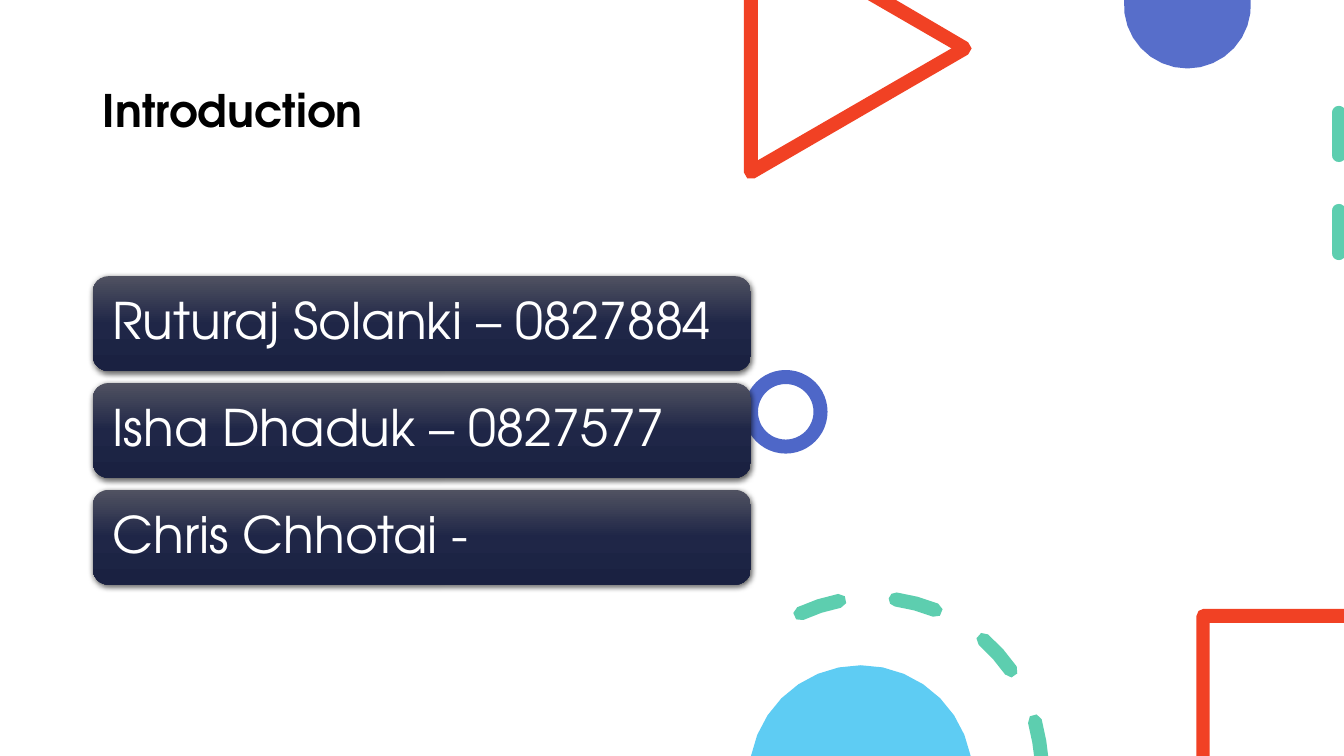
from math import ceil, cos, radians, sin

from lxml import etree
from pptx import Presentation
from pptx.dml.color import RGBColor
from pptx.enum.dml import MSO_LINE
from pptx.enum.shapes import MSO_CONNECTOR, MSO_SHAPE
from pptx.enum.text import MSO_ANCHOR, MSO_AUTO_SIZE, PP_ALIGN
from pptx.oxml import parse_xml
from pptx.oxml.ns import nsdecls, qn
from pptx.util import Inches, Pt

ROUND_RECT, OVAL = MSO_SHAPE.ROUNDED_RECTANGLE, MSO_SHAPE.OVAL
STRAIGHT, DASH = MSO_CONNECTOR.STRAIGHT, MSO_LINE.DASH
MIDDLE, LEFT, NO_FIT = MSO_ANCHOR.MIDDLE, PP_ALIGN.LEFT, MSO_AUTO_SIZE.NONE

WIDTH, HEIGHT = 40 / 3, 7.5
FONT = "TeX Gyre Adventor"
BLUE, GREEN, RED, CYAN = "4E67C8", "5DCEAF", "F14124", "5ECCF3"
BLACK, WHITE = "000000", "FFFFFF"
PANEL_STOPS = [(0, "505261"), (50, "1F2647"), (100, "1A2141")]
MEMBERS = ["Ruturaj Solanki – 0827884", "Isha Dhaduk – 0827577", "Chris Chhotai -"]
STROKE_RADIUS = 0.07


def color(hex_value):
    return RGBColor.from_string(hex_value)


def arc(center, radius, start, end):
    """Points on an arc; angles run clockwise in degrees from straight up."""
    step = 60 if radius == STROKE_RADIUS else 12
    count = ceil(abs(end - start) / step)
    angles = [radians(start + (end - start) * i / count) for i in range(count + 1)]
    return [(center[0] + radius * sin(a), center[1] - radius * cos(a)) for a in angles]


def arc_dash(center, radius, start, end):
    """Outline of one dash of a dashed circle, with round ends."""
    middle_line = arc(center, radius, start, end)
    points = arc(center, radius + STROKE_RADIUS, start, end)
    points += arc(middle_line[-1], STROKE_RADIUS, end, end + 180)[1:-1]
    points += arc(center, radius - STROKE_RADIUS, end, start)
    points += arc(middle_line[0], STROKE_RADIUS, start + 180, start + 360)[1:-1]
    return points


def add_outlines(slide, outlines, fill, alpha=None):
    """One filled freeform made of one or more closed outlines."""
    contours = [[(Inches(x), Inches(min(y, HEIGHT))) for x, y in points]
                for points in outlines]
    builder = slide.shapes.build_freeform(*contours[0][0], scale=1.0)
    for index, corners in enumerate(contours):
        if index:
            builder.move_to(*corners[0])
        builder.add_line_segments(corners[1:], close=True)
    figure = builder.convert_to_shape()
    figure.shadow.inherit = False
    figure.fill.solid()
    figure.fill.fore_color.rgb = color(fill)
    figure.line.fill.background()
    if alpha:
        tint = figure._element.spPr.find(".//" + qn("a:srgbClr"))
        etree.SubElement(tint, qn("a:alpha")).set("val", str(alpha * 1000))


def add_ring(slide, left, top, size):
    ring = slide.shapes.add_shape(OVAL, Inches(left), Inches(top), Inches(size), Inches(size))
    ring.shadow.inherit = False
    ring.fill.background()
    ring.line.color.rgb = color(BLUE)
    ring.line.width = Pt(10)


def add_dashed_line(slide, x, top, bottom):
    dashes = slide.shapes.add_connector(
        STRAIGHT, Inches(x), Inches(top), Inches(x), Inches(bottom))
    dashes.line.color.rgb = color(GREEN)
    dashes.line.width = Pt(10)
    dashes.line.dash_style = DASH
    properties = dashes._element.spPr
    properties.find(qn("a:ln")).set("cap", "rnd")
    etree.SubElement(properties, qn("a:effectLst"))


def add_text(frame, text, size, hex_value, bold=False):
    frame.word_wrap = True
    frame.auto_size = NO_FIT
    frame.vertical_anchor = MIDDLE
    paragraph = frame.paragraphs[0]
    paragraph.alignment = LEFT
    paragraph.line_spacing = 0.9
    run = paragraph.add_run()
    run.text = text
    run.font.name = FONT
    run.font.size = Pt(size)
    run.font.bold = bold
    run.font.color.rgb = color(hex_value)


def add_panel(slide, top, member):
    panel = slide.shapes.add_shape(
        ROUND_RECT, Inches(0.92), Inches(top), Inches(6.53), Inches(0.94))
    panel.shadow.inherit = False
    panel.line.fill.background()
    panel.fill.gradient()
    panel.fill.gradient_angle = 270
    properties = panel._element.spPr

    # Three-stop gradient
    stops = properties.find(".//" + qn("a:gsLst"))
    for stop in list(stops):
        stops.remove(stop)
    for position, hex_value in PANEL_STOPS:
        stop = etree.SubElement(stops, qn("a:gs"))
        stop.set("pos", str(position * 1000))
        etree.SubElement(stop, qn("a:srgbClr")).set("val", hex_value)

    # Soft shadow below the panel
    properties.find(qn("a:effectLst")).append(parse_xml(
        f'<a:outerShdw {nsdecls("a")} blurRad="{Pt(4.5)}" dist="{Pt(1.5)}" '
        f'dir="5400000" algn="ctr" rotWithShape="0"><a:srgbClr val="{BLACK}">'
        '<a:alpha val="63000"/></a:srgbClr></a:outerShdw>'))

    frame = panel.text_frame
    frame.margin_left = frame.margin_right = Inches(0.15)
    add_text(frame, member, 36, WHITE)


def add_title(slide, text):
    title = slide.shapes.title
    title.left, title.top = Inches(0.92), Inches(0.4)
    title.width, title.height = Inches(5.9), Inches(1.45)
    add_text(title.text_frame, text, 32, BLACK, bold=True)


def add_decorations(slide):
    # Circles at the top and in the middle
    add_outlines(slide, [arc((11.78, 0.05), 0.63, 85.5, 274.5)], BLUE, alpha=95)
    add_ring(slide, 7.45, 3.74, 0.69)

    # Dashed circle at the bottom
    starts = [-25 + 33.1 * index for index in range(4)]
    add_outlines(slide, [arc_dash((8.65, 7.61), 1.68, start, start + 14) for start in starts],
                 GREEN)

    # Triangle at the top
    triangle = [(7.38, 0), (7.52, 0), (7.52, 1.59), (9.44, 0.48), (8.61, 0), (8.89, 0)]
    triangle += arc((9.57, 0.48), STROKE_RADIUS, 30, 150)
    triangle += arc((7.45, 1.71), STROKE_RADIUS, 150, 270)
    add_outlines(slide, [triangle], RED)

    add_dashed_line(slide, 13.28, 1.12, 2.87)
    add_outlines(slide, [arc((8.54, 7.71), 1.11, -79.1, 79.1)], CYAN)

    # Square in the bottom right corner
    square = arc((11.94, 6.11), STROKE_RADIUS, 270, 360)
    square += [(WIDTH, 6.04), (WIDTH, 6.18), (12, 6.18), (12, HEIGHT), (11.87, HEIGHT)]
    add_outlines(slide, [square], RED)


def main():
    deck = Presentation()
    deck.slide_width, deck.slide_height = Inches(WIDTH), Inches(HEIGHT)
    slide = deck.slides.add_slide(deck.slide_layouts[5])
    slide.background.fill.solid()
    slide.background.fill.fore_color.rgb = color(WHITE)

    add_title(slide, "Introduction")
    add_decorations(slide)
    for index, member in enumerate(MEMBERS):
        add_panel(slide, 2.74 + 1.06 * index, member)
    deck.save("out.pptx")


if __name__ == "__main__":
    main()
